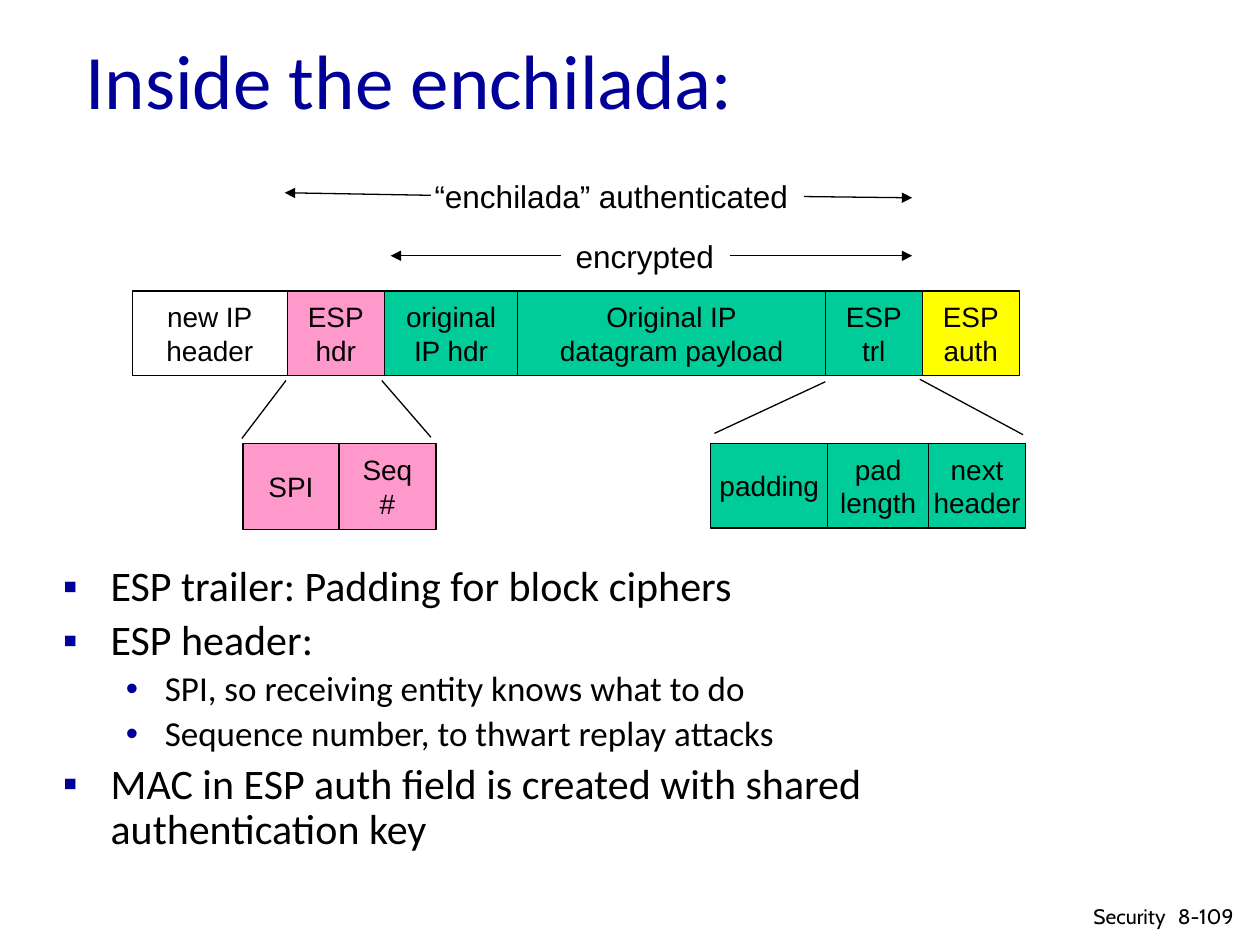
from itertools import accumulate
from lxml.etree import SubElement
from pptx import Presentation
from pptx.dml.color import RGBColor
from pptx.enum.shapes import MSO_CONNECTOR, MSO_SHAPE
from pptx.enum.text import MSO_ANCHOR, PP_ALIGN
from pptx.oxml.ns import qn
from pptx.util import Inches, Pt

HUES = {"navy": "000099", "black": "000000", "pink": "FF99CC",
        "green": "00CC99", "yellow": "FFFF00"}

TITLE = "Inside the enchilada:"
POINTS = [
    (0, "ESP trailer: Padding for block ciphers"),
    (0, "ESP header:"),
    (1, "SPI, so receiving entity knows what to do"),
    (1, "Sequence number, to thwart replay attacks"),
    (0, "MAC in ESP auth field is created with shared authentication key"),
]
LEVELS = [("▪", 24, 0.38, 0.38), ("•", 20, 0.81, 0.31)]

ROWS = [
    (1.05, 2.31, 0.67, [
        ("new IP\vheader", 1.23, None), ("ESP\nhdr", 0.77, "pink"),
        ("original\vIP hdr", 1.06, "green"),
        ("Original IP\ndatagram payload", 2.44, "green"),
        ("ESP\ntrl", 0.77, "green"), ("ESP\nauth", 0.77, "yellow")]),
    (1.93, 3.52, 0.68, [("SPI", 0.76, "pink"), ("Seq\n#", 0.77, "pink")]),
    (5.64, 3.52, 0.67, [
        ("padding", 0.93, "green"), ("pad\vlength", 0.8, "green"),
        ("next\vheader", 0.77, "green")]),
]
SPANS = [
    ("encrypted", (4.47, 1.83, 1.3, 0.4)),
    ("“enchilada” authenticated", (3.35, 1.36, 3.01, 0.4)),
]
ARROWS = [
    (5.79, 2.03, 7.24, 2.03), (4.45, 2.03, 3.1, 2.03),
    (6.38, 1.56, 7.24, 1.57), (3.42, 1.55, 2.26, 1.53),
]
RAYS = [
    (5.67, 3.44, 6.55, 3.03), (8.12, 3.45, 7.3, 3.01),
    (1.92, 3.48, 2.27, 3.02), (3.03, 3.02, 3.42, 3.47),
]
FOOT = [
    ("8-109", (9.25, 7.12, 0.75, 0.3), PP_ALIGN.LEFT),
    ("Security", (8.56, 7.12, 0.79, 0.28), PP_ALIGN.RIGHT),
]

deck = Presentation()
deck.slide_width, deck.slide_height = Inches(10), Inches(7.5)
slide = deck.slides.add_slide(deck.slide_layouts[6])


def color(name):
    return RGBColor.from_string(HUES[name])


def style(para, text, size=16, face="Arial", hue="black", align=PP_ALIGN.LEFT):
    para.text = text
    para.alignment = align
    for part in (para, *para.runs):
        font = part.font
        font.size, font.name = Pt(size), face
        font.color.rgb = color(hue)


def write(shape, text, anchor=MSO_ANCHOR.TOP, wrap=True, **form):
    frame = shape.text_frame
    frame.word_wrap, frame.vertical_anchor = wrap, anchor
    for num, line in enumerate(text.split("\n")):
        para = frame.add_paragraph() if num else frame.paragraphs[0]
        style(para, line, **form)


def label(text, area, **form):
    box = slide.shapes.add_textbox(*map(Inches, area))
    write(box, text, **form)
    return box


def cell(text, area, hue):
    box = slide.shapes.add_shape(MSO_SHAPE.RECTANGLE, *map(Inches, area))
    box.shadow.inherit = False
    if hue:
        box.fill.solid()
        box.fill.fore_color.rgb = color(hue)
    else:
        box.fill.background()
    box.line.color.rgb = color("black")
    box.line.width = Pt(0.75)
    write(box, text, anchor=MSO_ANCHOR.MIDDLE, wrap=False,
          align=PP_ALIGN.CENTER)


def rule(ends, arrow=False):
    line = slide.shapes.add_connector(MSO_CONNECTOR.STRAIGHT,
                                      *map(Inches, ends))
    line.line.color.rgb = color("black")
    line.line.width = Pt(0.75)
    props = line._element.spPr
    if arrow:
        SubElement(props.find(qn("a:ln")), qn("a:tailEnd"), type="triangle")
    SubElement(props, qn("a:effectLst"))


def bullet(para, mark, left, hang):
    props = para._p.get_or_add_pPr()
    props.set("marL", str(Inches(left)))
    props.set("indent", str(-Inches(hang)))
    tint = SubElement(props, qn("a:buClr"))
    SubElement(tint, qn("a:srgbClr"), val=HUES["navy"])
    SubElement(props, qn("a:buFont"), typeface="Arial")
    SubElement(props, qn("a:buChar"), char=mark)


label(TITLE, (0.58, 0, 8.5, 1.25), size=44, face="Calibri", hue="navy",
      anchor=MSO_ANCHOR.MIDDLE)

body = label("\n".join(text for _, text in POINTS), (0.4, 4.44, 8.5, 2.59))
for num, (para, (level, text)) in enumerate(
        zip(body.text_frame.paragraphs, POINTS)):
    mark, size, left, hang = LEVELS[level]
    para._p.remove(para._p.pPr)
    bullet(para, mark, left, hang)
    para.level = level
    para.line_spacing = 0.9
    para.space_before = Pt(size * 0.2 if num else 0)
    style(para, text, size=size, face="Calibri")

for left, top, high, cells in ROWS:
    edges = accumulate((wide for _, wide, _ in cells), initial=left)
    for (text, wide, hue), edge in zip(cells, edges):
        cell(text, (edge, top, wide, high), hue)

for text, area in SPANS:
    label(text, area, size=18, wrap=False)
for ends in ARROWS:
    rule(ends, arrow=True)
for ends in RAYS:
    rule(ends)
for text, area, align in FOOT:
    label(text, area, size=12, face="Cabin", align=align)

deck.save("out.pptx")
